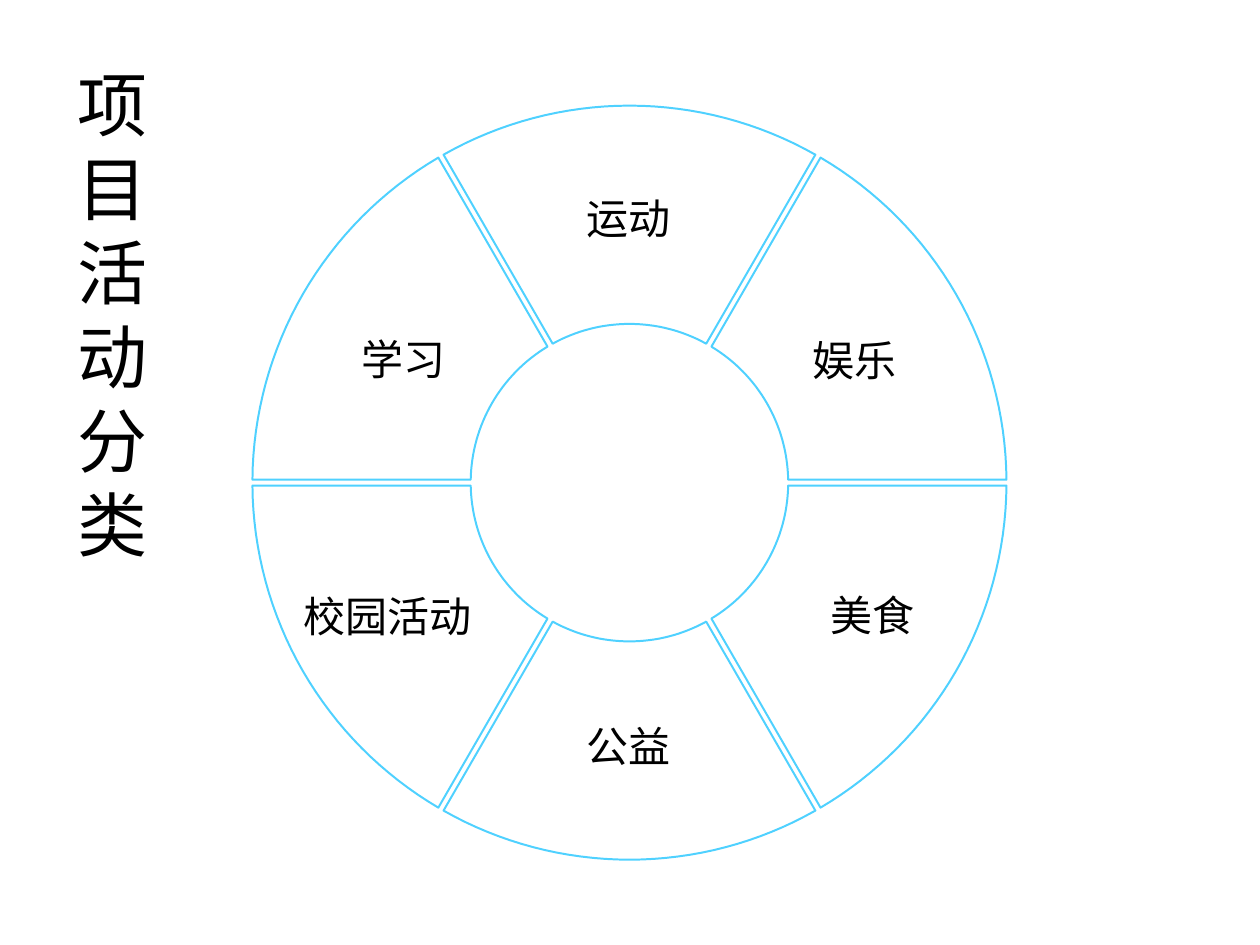
import math

import pptx
import pptx.dml.color
import pptx.enum.text
import pptx.oxml.ns
import pptx.util
from lxml import etree

Cm = pptx.util.Cm
Pt = pptx.util.Pt
qn = pptx.oxml.ns.qn

COLOURS = {"text": "000000", "slice": "FFFFFF", "outline": "4FD1FF"}
CENTRE_X, CENTRE_Y = 12.69, 9.73
OUTER_RADIUS, INNER_RADIUS = 7.6, 3.2
HALF_GAP = 0.06
ARC_STEPS = 32
ACTIVITIES = [
    ("娱乐", 17.22, 7.26),
    ("运动", 12.67, 4.39),
    ("学习", 8.13, 7.24),
    ("校园活动", 7.82, 12.42),
    ("公益", 12.67, 15.04),
    ("美食", 17.58, 12.4),
]


class ActivityWheel:
    latin_font = "Arial"
    cjk_font = "Noto Sans CJK SC"

    def __init__(self, slide):
        self.slide = slide

    def colour(self, name):
        return pptx.dml.color.RGBColor.from_string(COLOURS[name])

    def format_paragraph(self, paragraph, font_name, size, alignment):
        paragraph.alignment = alignment
        paragraph.space_before = Pt(0)
        paragraph.font.name = font_name
        paragraph.font.size = Pt(size)
        paragraph.font.color.rgb = self.colour("text")
        defaults = paragraph._p.pPr.find(qn("a:defRPr"))
        etree.SubElement(defaults, qn("a:ea"), typeface=self.cjk_font)

    def title(self, wording, left, top, width, height):
        heading = self.slide.shapes.title
        heading.left, heading.top = Cm(left), Cm(top)
        heading.width, heading.height = Cm(width), Cm(height)
        frame = heading.text_frame
        frame.text = wording
        frame.word_wrap = True
        frame.auto_size = pptx.enum.text.MSO_AUTO_SIZE.NONE
        frame.vertical_anchor = pptx.enum.text.MSO_ANCHOR.TOP
        paragraph = frame.paragraphs[0]
        paragraph.line_spacing = Pt(48)
        self.format_paragraph(paragraph, self.cjk_font, 40, pptx.enum.text.PP_ALIGN.LEFT)

    def arc(self, radius, start, end):
        inset = math.asin(HALF_GAP / radius)
        first = math.radians(start) + inset
        sweep = math.radians(end - start) - 2 * inset
        angles = [first + sweep * step / ARC_STEPS for step in range(ARC_STEPS + 1)]
        return [
            (Cm(CENTRE_X + radius * math.cos(angle)), Cm(CENTRE_Y - radius * math.sin(angle)))
            for angle in angles
        ]

    def slice(self, start, end):
        outline = self.arc(OUTER_RADIUS, start, end) + self.arc(INNER_RADIUS, start, end)[::-1]
        builder = self.slide.shapes.build_freeform(*outline[0])
        builder.add_line_segments(outline[1:], close=True)
        segment = builder.convert_to_shape()
        segment.shadow.inherit = False
        segment.fill.solid()
        segment.fill.fore_color.rgb = self.colour("slice")
        fill_colour = segment._element.spPr.find(qn("a:solidFill")).find(qn("a:srgbClr"))
        etree.SubElement(fill_colour, qn("a:alpha"), val="82000")
        segment.line.color.rgb = self.colour("outline")
        segment.line.width = Pt(1.13)

    def label(self, wording, middle_x, middle_y, width=4.57, height=2.29):
        box = self.slide.shapes.add_textbox(
            Cm(middle_x - width / 2), Cm(middle_y - height / 2), Cm(width), Cm(height)
        )
        frame = box.text_frame
        frame.text = wording
        frame.word_wrap = True
        frame.vertical_anchor = pptx.enum.text.MSO_ANCHOR.MIDDLE
        self.format_paragraph(
            frame.paragraphs[0], self.latin_font, 24, pptx.enum.text.PP_ALIGN.CENTER
        )


def main():
    deck = pptx.Presentation()
    deck.slide_width, deck.slide_height = Cm(25.4), Cm(19.05)
    wheel = ActivityWheel(deck.slides.add_slide(deck.slide_layouts[5]))
    wheel.title("项目活动分类", 1.3, 1.12, 2, 10.52)
    angle = 360 / len(ACTIVITIES)
    for position in range(len(ACTIVITIES)):
        wheel.slice(position * angle, (position + 1) * angle)
    for activity in ACTIVITIES:
        wheel.label(*activity)
    deck.save("out.pptx")


if __name__ == "__main__":
    main()
